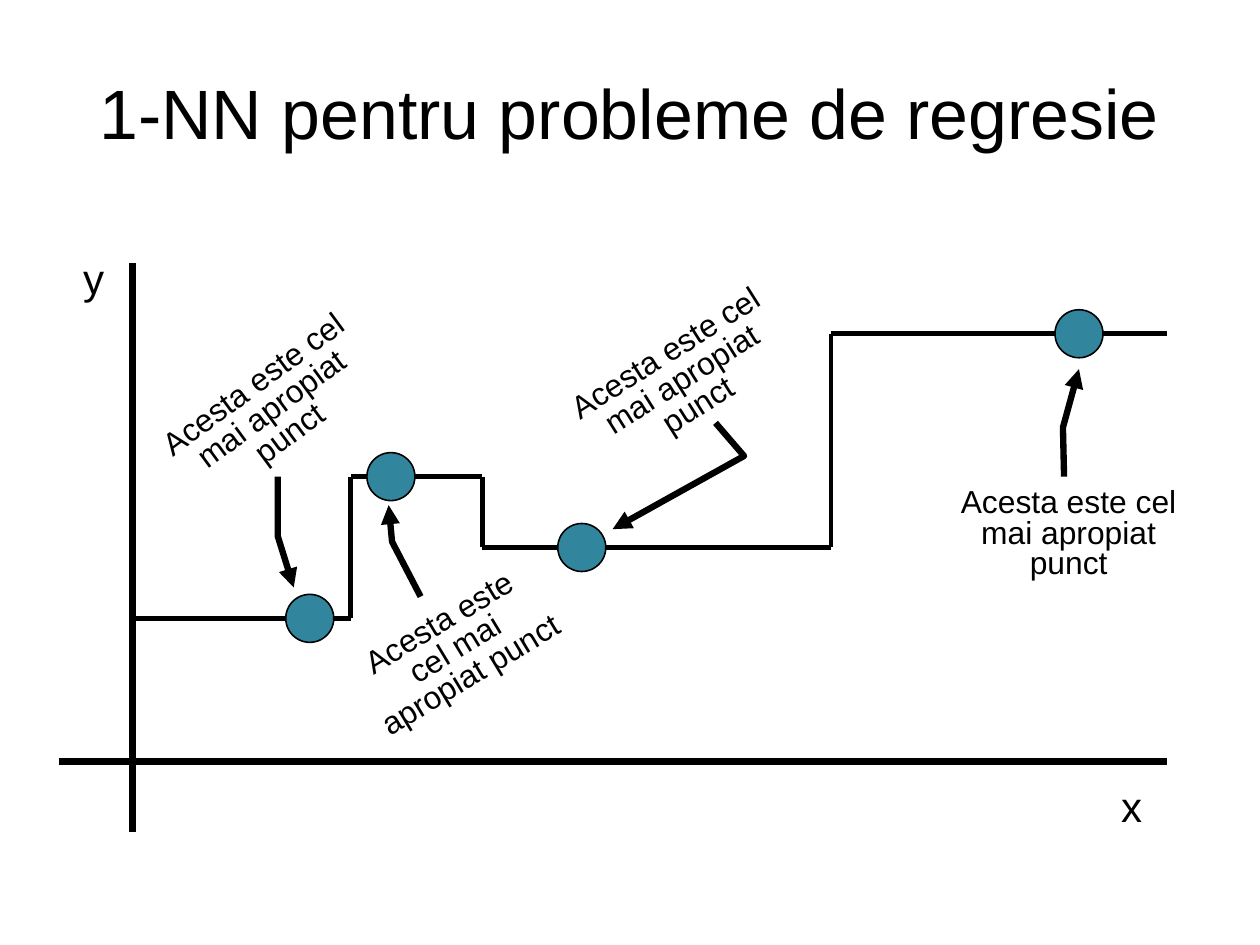
from collections import namedtuple
from itertools import pairwise

from lxml import etree
from pptx import Presentation
from pptx.dml.color import RGBColor
from pptx.enum.shapes import MSO_CONNECTOR as CONN, MSO_SHAPE as SHAPE
from pptx.enum.text import MSO_ANCHOR as ANCHOR, PP_ALIGN as ALIGN
from pptx.oxml.ns import qn
from pptx.util import Inches, Pt

BLACK = RGBColor(0x00, 0x00, 0x00)
TEAL = RGBColor(0x31, 0x85, 0x9C)
FONT = "Arial"
CM_PER_INCH = 2.54
DOT = 0.42
NOTE = "Acesta este cel mai apropiat punct"

# Lengths are inches from the top left corner of the plot.
AXIS_X, AXIS_Y = 0.64, 4.5
STEP_EDGES = [AXIS_X, 2.55, 3.7, 6.75, 9.69]
STEP_LEVELS = [3.25, 2.01, 2.63, 0.76]

Neighbour = namedtuple("Neighbour", "dot_x note_box rotation arrow")
NEIGHBOURS = [
    Neighbour(2.19, (0.67, 0.98, 2.39, 0.91), 323.5,
              [(1.91, 2.01), (1.91, 2.53), (2.05, 2.98)]),
    Neighbour(2.9, (2.45, 3.08, 2.04, 0.91), 328.8,
              [(3.16, 3.06), (2.91, 2.58), (2.88, 2.26)]),
    Neighbour(4.57, (4.4, 0.72, 2.11, 0.91), 327.7,
              [(5.74, 1.54), (5.99, 1.83), (4.84, 2.47)]),
    Neighbour(8.92, (7.63, 2.07, 2.4, 0.91), 0,
              [(8.79, 2.01), (8.78, 1.58), (8.92, 1.07)]),
]


def add_text(s, text, box, size=20, align=ALIGN.CENTER, spacing=1.0,
             anchor=ANCHOR.TOP, margins=(0.1, 0.05), rotation=0):
    sp = s.shapes.add_textbox(*map(Inches, box))
    sp.rotation = rotation
    tf = sp.text_frame
    tf.word_wrap = True
    tf.vertical_anchor = anchor
    tf.margin_left = tf.margin_right = Inches(margins[0])
    tf.margin_top = tf.margin_bottom = Inches(margins[1])
    p = tf.paragraphs[0]
    p.alignment = align
    p.line_spacing = spacing
    r = p.add_run()
    r.text = text
    r.font.name = FONT
    r.font.size = Pt(size)
    r.font.color.rgb = BLACK


def style_line(sp, width):
    sp.line.color.rgb = BLACK
    sp.line.width = Pt(width)


def add_line(s, start, end, width):
    c = s.shapes.add_connector(CONN.STRAIGHT, *map(Inches, (*start, *end)))
    style_line(c, width)
    etree.SubElement(c._element.spPr, qn("a:effectLst"))


def add_bent_arrow(s, points):
    start, *rest = [tuple(map(Inches, pt)) for pt in points]
    builder = s.shapes.build_freeform(*start)
    builder.add_line_segments(rest, close=False)
    sp = builder.convert_to_shape()
    sp.shadow.inherit = False
    sp.fill.background()
    style_line(sp, 4)
    etree.SubElement(sp.line._get_or_add_ln(), qn("a:tailEnd"), type="triangle")


def add_dot(s, x, y):
    """Draw a data point centred on x, y."""
    box = (x - DOT / 2, y - DOT / 2, DOT, DOT)
    sp = s.shapes.add_shape(SHAPE.OVAL, *map(Inches, box))
    sp.shadow.inherit = False
    sp.fill.solid()
    sp.fill.fore_color.rgb = TEAL
    style_line(sp, 1)


def add_title(s, box):
    add_text(s, "1-NN pentru probleme de regresie", box, size=44, spacing=0.9,
             anchor=ANCHOR.MIDDLE, margins=(0, 0))


def add_plot(s, left, top, width, height):
    def at(x, y):
        return left + x, top + y

    add_line(s, at(AXIS_X, 0.14), at(AXIS_X, height), 4.5)
    add_line(s, at(0, AXIS_Y), at(width, AXIS_Y), 4.5)
    for name, x, y in [("x", 9.19, 4.62), ("y", 0.11, 0)]:
        add_text(s, name, (*at(x, y), 0.76, 0.93), size=26.5, align=ALIGN.LEFT)

    corners = [at(x, level)
               for edges, level in zip(pairwise(STEP_EDGES), STEP_LEVELS)
               for x in edges]
    for start, end in pairwise(corners):
        add_line(s, start, end, 3)

    for n, level in zip(NEIGHBOURS, STEP_LEVELS):
        x, y, w, h = n.note_box
        add_text(s, NOTE, (*at(x, y), w, h), spacing=0.8, rotation=n.rotation)
        add_bent_arrow(s, [at(*pt) for pt in n.arrow])
        add_dot(s, *at(n.dot_x, level))


def main():
    prs = Presentation()
    prs.slide_width = Inches(28 / CM_PER_INCH)
    prs.slide_height = Inches(21 / CM_PER_INCH)
    s = prs.slides.add_slide(prs.slide_layouts[6])
    add_title(s, (0.55, 0.33, 9.92, 1.38))
    add_plot(s, 0.52, 2.16, 9.69, 5.12)
    prs.save("out.pptx")


if __name__ == "__main__":
    main()
